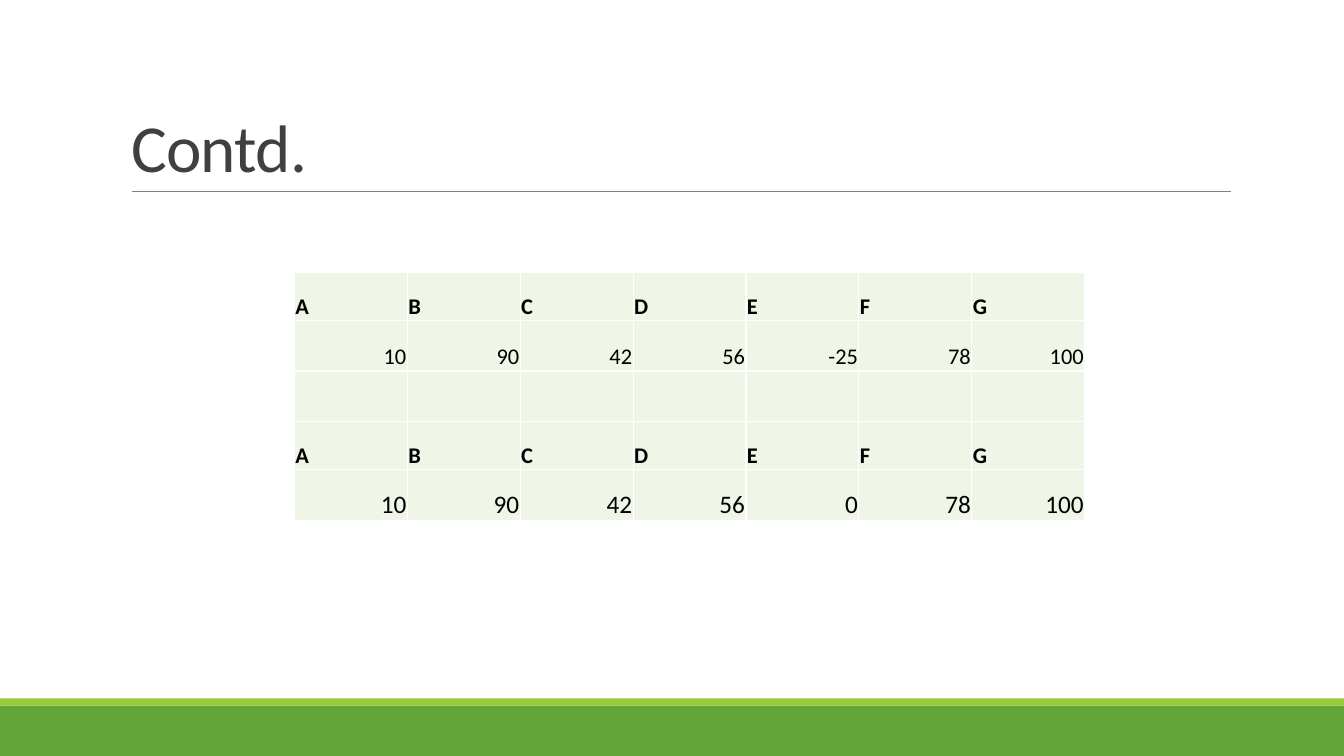
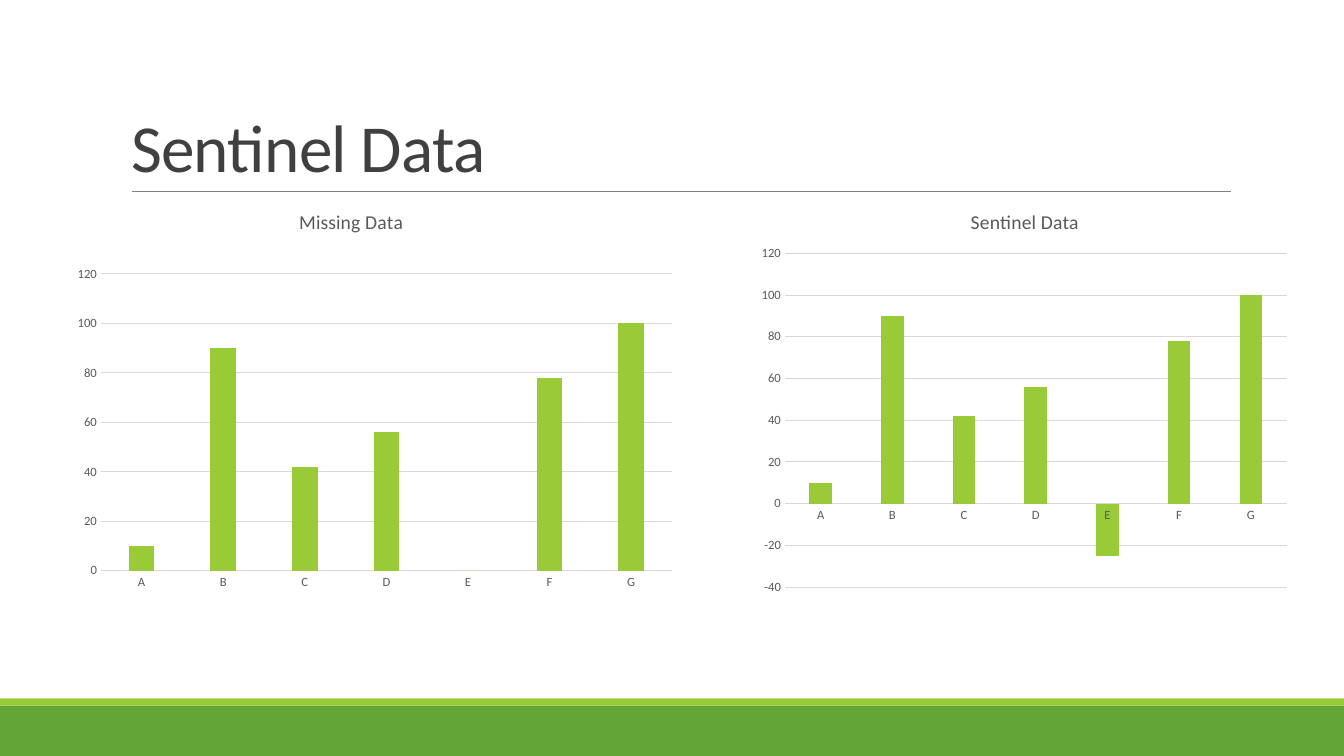
from pptx import Presentation
from pptx.chart.data import CategoryChartData as ChartData
from pptx.dml.color import RGBColor as RGB
from pptx.enum.chart import XL_CHART_TYPE as Kind, XL_TICK_MARK as Tick
from pptx.enum.shapes import MSO_CONNECTOR as Conn, MSO_SHAPE as Shape
from pptx.enum.text import MSO_ANCHOR as Anchor, MSO_AUTO_SIZE as Auto, PP_ALIGN as Align
from pptx.oxml import parse_xml
from pptx.oxml.ns import nsdecls, qn
from pptx.util import Pt
from lxml.etree import SubElement


class Theme:
    face = "Calibri"
    green = RGB.from_string("63A537")
    lime = RGB.from_string("99CB38")
    pale = RGB.from_string("EFF6E8")
    rule = RGB.from_string("808080")
    head = RGB.from_string("404040")
    label = RGB.from_string("595959")
    grid = RGB.from_string("D9D9D9")
    ink = RGB.from_string("000000")
    title, cell, last, name, tick = Pt(48), Pt(16), Pt(18), Pt(14), Pt(9)


PX = 9144


def px(*nums):
    return [n * PX for n in nums]


def style(font, size, color, bold=False):
    look = {"name": Theme.face, "size": size, "bold": bold}
    for key, val in look.items():
        setattr(font, key, val)
    font.color.rgb = color


deck = Presentation()
deck.slide_width, deck.slide_height = px(1333, 750)
bands = [(700, 50, Theme.green), (693, 7, Theme.lime)]
heads = [("Contd.", 31), ("Sentinel Data", 91)]
slides = []

for text, top in heads:
    slide = deck.slides.add_slide(deck.slide_layouts[5])
    slides.append(slide)
    for y, high, color in bands:
        band = slide.shapes.add_shape(Shape.RECTANGLE, *px(0, y, 1333, high))
        band.shadow.inherit = False
        band.fill.solid()
        band.fill.fore_color.rgb = color
        band.line.fill.background()
    rule = slide.shapes.add_connector(Conn.STRAIGHT, *px(131, 190, 1221, 190))
    rule.line.color.rgb = Theme.rule
    rule.line.width = Pt(0.5)
    SubElement(rule.element.spPr, qn("a:effectLst"))

    title = slide.shapes.title
    title.left, title.top, title.width, title.height = px(120, top, 1100, 190 - top)
    frame = title.text_frame
    frame.text = text
    frame.auto_size = Auto.NONE
    frame.vertical_anchor = Anchor.BOTTOM
    para = frame.paragraphs[0]
    para.alignment = Align.LEFT
    para.line_spacing = 0.85
    style(para.runs[0].font, Theme.title, Theme.head)
    title.element.xpath(".//a:rPr")[0].set("spc", "-50")

names = list("ABCDEFG")
gaps = [10, 90, 42, 56, 0, 78, 100]
marks = [10, 90, 42, 56, -25, 78, 100]
rows = [
    (48, names, Theme.cell, True),
    (50, marks, Theme.cell, False),
    (50, [""] * 7, Theme.cell, False),
    (48, names, Theme.cell, True),
    (50, gaps, Theme.last, False),
]
pad = {"margin_left": PX, "margin_right": PX, "margin_top": PX, "margin_bottom": 0,
       "vertical_anchor": Anchor.BOTTOM}

box = slides[0].shapes.add_table(5, 7, *px(292, 270, 784, 246))
table = box.table
table.first_row = table.horz_banding = False
for col in table.columns:
    col.width = 112 * PX
for r, (high, vals, size, bold) in enumerate(rows):
    table.rows[r].height = high * PX
    for c, val in enumerate(vals):
        cell = table.cell(r, c)
        for key, item in pad.items():
            setattr(cell, key, item)
        cell.fill.solid()
        cell.fill.fore_color.rgb = Theme.pale
        para = cell.text_frame.paragraphs[0]
        para.text = str(val)
        para.alignment = Align.LEFT if bold else Align.RIGHT
        style(para.font, size, Theme.ink, bold)
        for run in para.runs:
            style(run.font, size, Theme.ink, bold)
for props in box.element.iter(qn("a:tcPr")):
    for i, side in enumerate("LRTB"):
        props.insert(i, parse_xml(
            f'<a:ln{side} {nsdecls("a")} w="12700"><a:solidFill>'
            f'<a:srgbClr val="FFFFFF"/></a:solidFill></a:ln{side}>'))

plots = [
    ("Sentinel Data", marks, -40, (746, 190, 541, 409), (0.06, 0.15, 0.92, 0.81)),
    ("Missing Data", gaps, 0, (30, 190, 637, 409), (0.11, 0.2, 0.89, 0.72)),
]
for text, vals, low, place, inner in plots:
    data = ChartData()
    data.categories = names
    data.add_series("Series 1", vals)
    chart = slides[1].shapes.add_chart(Kind.COLUMN_CLUSTERED, *px(*place), data).chart
    chart.has_legend = False
    style(chart.font, Theme.tick, Theme.label)
    chart.has_title = True
    frame = chart.chart_title.text_frame
    frame.text = text
    style(frame.paragraphs[0].runs[0].font, Theme.name, Theme.label)

    plot = chart.plots[0]
    for key, val in {"gap_width": 219, "overlap": -27, "vary_by_categories": False}.items():
        setattr(plot, key, val)
    bars = plot.series[0]
    bars.invert_if_negative = False
    bars.format.fill.solid()
    bars.format.fill.fore_color.rgb = Theme.lime

    cats, scale = chart.category_axis, chart.value_axis
    for axis in (cats, scale):
        axis.major_tick_mark = axis.minor_tick_mark = Tick.NONE
        style(axis.tick_labels.font, Theme.tick, Theme.label)
    for key, val in {"minimum_scale": low, "maximum_scale": 120, "major_unit": 20}.items():
        setattr(scale, key, val)
    scale.format.line.fill.background()
    for line in (cats.format.line, scale.major_gridlines.format.line):
        line.color.rgb = Theme.grid
        line.width = Pt(0.75)

    area = chart.element.xpath("c:chart/c:plotArea")[0]
    for old in area.findall(qn("c:layout")):
        area.remove(old)
    sizes = "".join(f'<c:{tag} val="{val}"/>' for tag, val in zip("xywh", inner))
    area.insert(0, parse_xml(
        f'<c:layout {nsdecls("c")}><c:manualLayout><c:layoutTarget val="inner"/>'
        f'<c:xMode val="edge"/><c:yMode val="edge"/>{sizes}</c:manualLayout></c:layout>'))

deck.save("out.pptx")
